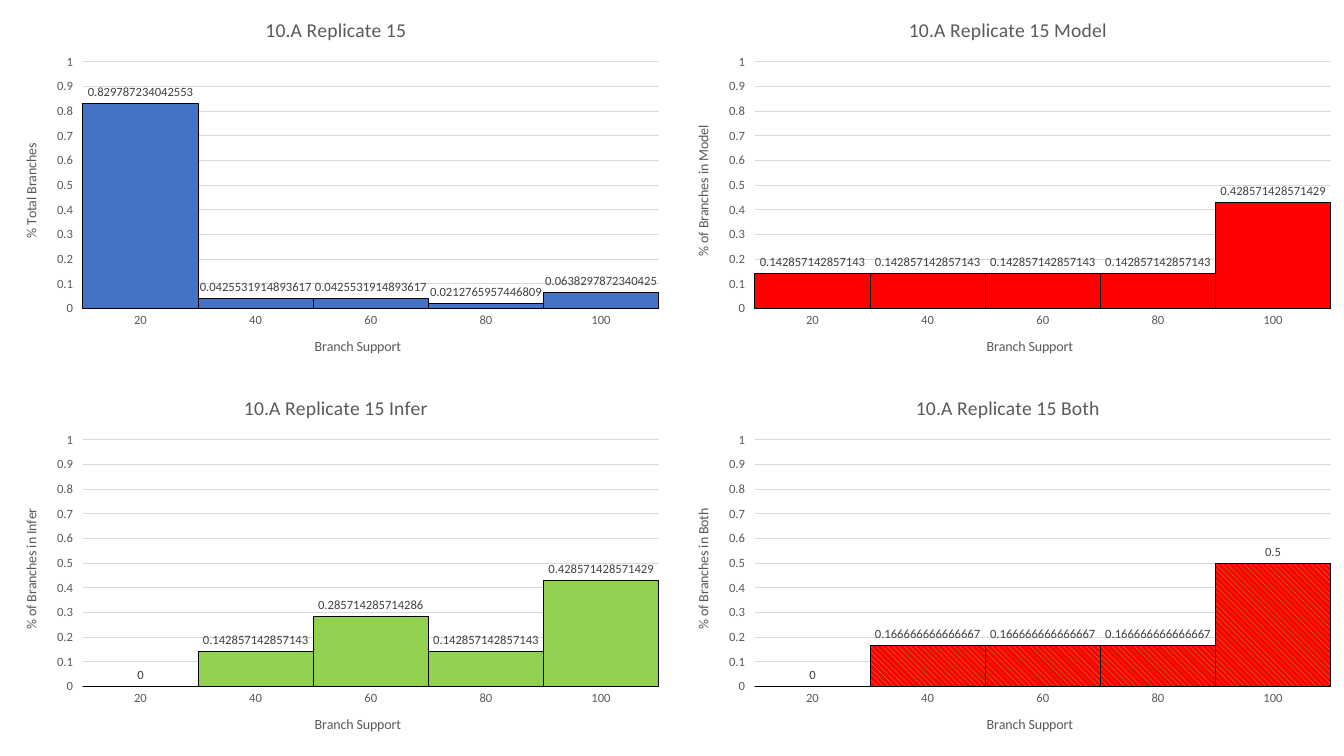
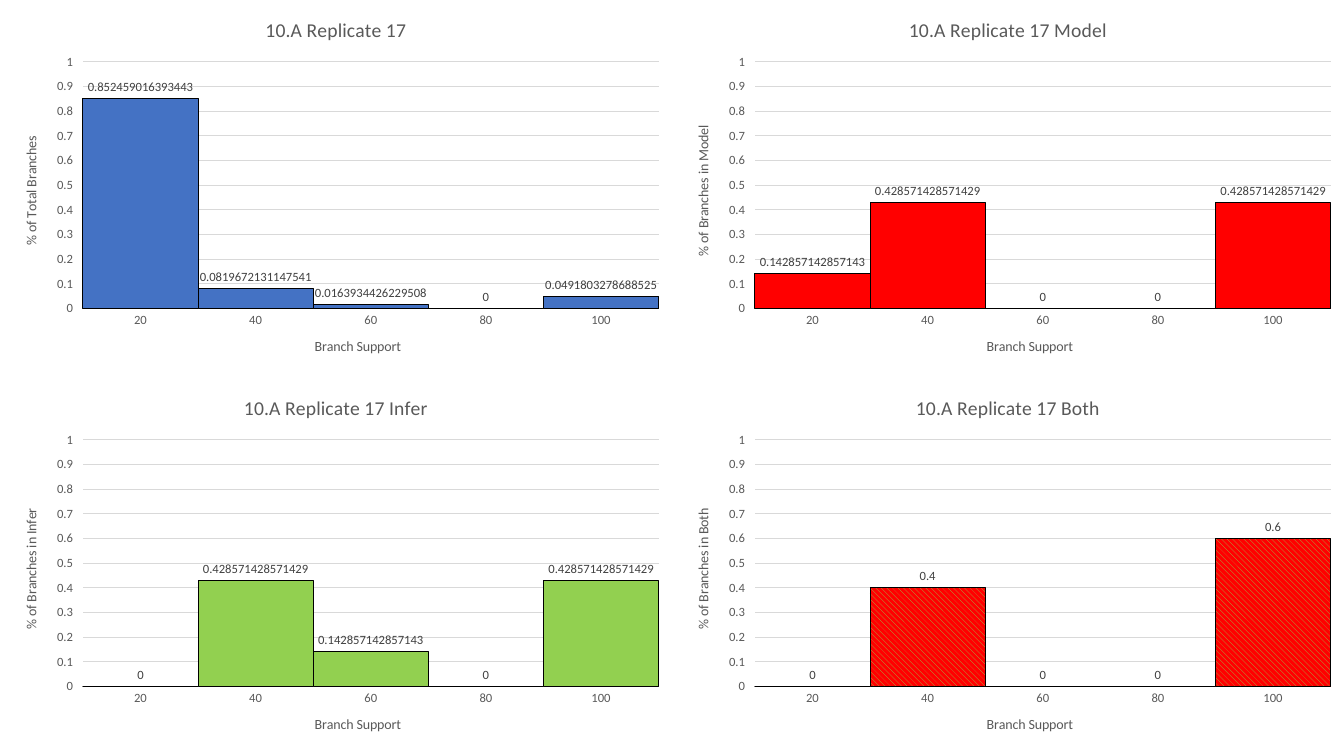
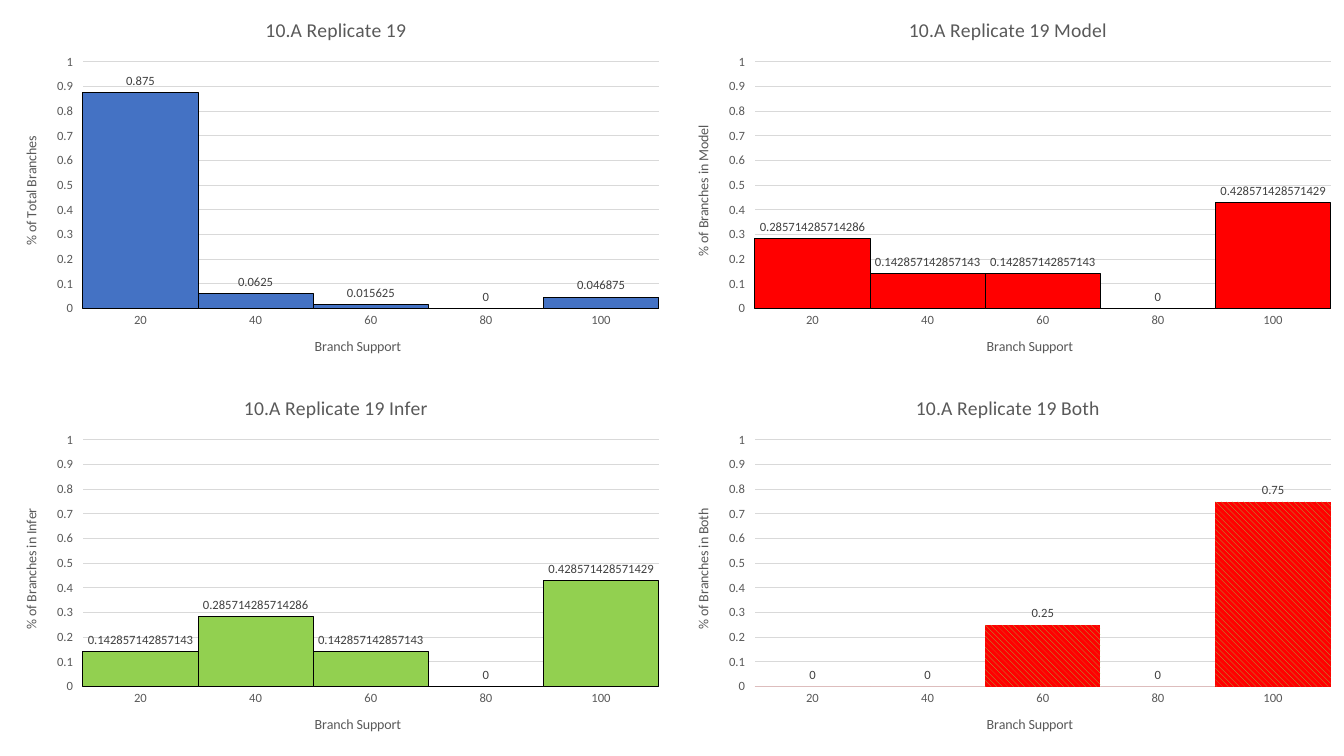
import dataclasses

import lxml.etree
import pptx
import pptx.chart.data
import pptx.dml.color
import pptx.enum.chart
import pptx.enum.dml
import pptx.oxml
import pptx.oxml.ns
import pptx.util

Cm, Pt = pptx.util.Cm, pptx.util.Pt
qn = pptx.oxml.ns.qn


def rgb(code):
    return pptx.dml.color.RGBColor.from_string(code)


@dataclasses.dataclass(frozen=True)
class Theme:
    font: str = "Calibri"
    base: str = "000000"
    text: str = "595959"
    label: str = "404040"
    grid: str = "D9D9D9"
    outline: str = "000000"
    total: str = "4472C4"
    model: str = "FF0000"
    infer: str = "92D050"
    title_size: float = 14
    axis_title_size: float = 10
    tick_size: float = 9
    line_width: float = 0.75


THEME = Theme()
SLIDE_WIDTH, SLIDE_HEIGHT = Cm(33.87), Cm(19.05)
CHART_WIDTH, CHART_HEIGHT = SLIDE_WIDTH // 2, SLIDE_HEIGHT // 2
PLOT_AREA = {
    "x": Cm(2.09) / CHART_WIDTH,
    "y": Cm(1.56) / CHART_HEIGHT,
    "w": Cm(14.51) / CHART_WIDTH,
    "h": Cm(6.22) / CHART_HEIGHT,
}
SUPPORT_BINS = ["20", "40", "60", "80", "100"]
VALUE_DIGITS = 6

# Branches in each support bin
REPLICATES = {
    15: {
        "Total": [39, 2, 2, 1, 3],
        "Model": [1, 1, 1, 1, 3],
        "Infer": [0, 1, 2, 1, 3],
        "Both": [0, 1, 1, 1, 3],
    },
    17: {
        "Total": [52, 5, 1, 0, 3],
        "Model": [1, 3, 0, 0, 3],
        "Infer": [0, 3, 1, 0, 3],
        "Both": [0, 2, 0, 0, 3],
    },
    19: {
        "Total": [56, 4, 1, 0, 3],
        "Model": [2, 1, 1, 0, 3],
        "Infer": [1, 2, 1, 0, 3],
        "Both": [0, 0, 1, 0, 3],
    },
}


def chart_title(number, group):
    base = f"10.A Replicate {number}"
    return base if group == "Total" else f"{base} {group}"


def value_title(number, group):
    if group != "Total":
        return f"% of Branches in {group}"
    return "% Total Branches" if number == 15 else "% of Total Branches"


def set_font(font, size, color):
    font.name = THEME.font
    font.size = Pt(size)
    font.bold = False
    font.color.rgb = rgb(color)


def set_line(line, color):
    line.color.rgb = rgb(color)
    line.width = Pt(THEME.line_width)


def add_run(tf, text, size, color):
    r = tf.paragraphs[0].add_run()
    r.text = text
    set_font(r.font, size, color)


def style_axis(axis, title, tick):
    axis.has_title = True
    add_run(axis.axis_title.text_frame, title, THEME.axis_title_size, THEME.text)
    axis.major_tick_mark = tick
    axis.minor_tick_mark = pptx.enum.chart.XL_TICK_MARK.NONE
    set_font(axis.tick_labels.font, THEME.tick_size, THEME.text)


def fill_bars(fill, group):
    if group == "Both":
        fill.patterned()
        fill.pattern = pptx.enum.dml.MSO_PATTERN.WIDE_DOWNWARD_DIAGONAL
        fill.fore_color.rgb = rgb(THEME.infer)
        fill.back_color.rgb = rgb(THEME.model)
    else:
        fill.solid()
        fill.fore_color.rgb = rgb(getattr(THEME, group.lower()))


def label_bars(series, shares):
    """Show the values, and spell out shares longer than the stored value."""
    position = pptx.enum.chart.XL_LABEL_POSITION.OUTSIDE_END
    labels = series.data_labels
    labels.show_value = True
    labels.position = position
    set_font(labels.font, THEME.tick_size, THEME.label)
    for i, share in enumerate(shares):
        if share == round(share, VALUE_DIGITS):
            continue
        label = series.points[i].data_label
        tf = label.text_frame
        tf.word_wrap = False
        add_run(tf, f"{share:.15g}", THEME.tick_size, THEME.label)
        label.position = position


def place_plot_area(chart):
    """Fix the inner plot area and leave the chart without fill or border."""
    space = chart.element
    plot_area = space.find(f".//{qn('c:plotArea')}")
    for old in plot_area.findall(qn("c:layout")):
        plot_area.remove(old)
    layout = lxml.etree.Element(qn("c:layout"))
    manual = lxml.etree.SubElement(layout, qn("c:manualLayout"))
    settings = {"layoutTarget": "inner", "xMode": "edge", "yMode": "edge", **PLOT_AREA}
    for tag, val in settings.items():
        lxml.etree.SubElement(manual, qn(f"c:{tag}")).set("val", str(val))
    plot_area.insert(0, layout)

    sp_pr = lxml.etree.Element(qn("c:spPr"))
    lxml.etree.SubElement(sp_pr, qn("a:noFill"))
    line = lxml.etree.SubElement(sp_pr, qn("a:ln"))
    lxml.etree.SubElement(line, qn("a:noFill"))
    space.find(qn("c:chart")).addnext(sp_pr)


def add_histogram(slide, left, top, number, group, counts, outlined):
    shares = [n / sum(counts) for n in counts]
    data = pptx.chart.data.CategoryChartData()
    data.categories = SUPPORT_BINS
    data.add_series("Series 1", [round(share, VALUE_DIGITS) for share in shares])
    kind = pptx.enum.chart.XL_CHART_TYPE.COLUMN_CLUSTERED
    chart = slide.shapes.add_chart(
        kind, left, top, CHART_WIDTH, CHART_HEIGHT, data
    ).chart
    set_font(chart.font, THEME.axis_title_size, THEME.base)
    chart.has_legend = False
    chart.has_title = True
    title = chart.chart_title
    title.include_in_layout = False
    add_run(title.text_frame, chart_title(number, group), THEME.title_size, THEME.text)

    ticks = pptx.enum.chart.XL_TICK_MARK
    style_axis(chart.category_axis, "Branch Support", ticks.NONE)
    set_line(chart.category_axis.format.line, THEME.grid)
    axis = chart.value_axis
    style_axis(axis, value_title(number, group), ticks.OUTSIDE)
    axis.format.line.fill.background()
    axis.minimum_scale, axis.maximum_scale, axis.major_unit = 0, 1, 0.1
    axis.has_major_gridlines = True
    set_line(axis.major_gridlines.format.line, THEME.grid)

    plot = chart.plots[0]
    plot.vary_by_categories = False
    plot.gap_width = 0
    series = plot.series[0]
    series.invert_if_negative = False
    fill_bars(series.format.fill, group)
    if outlined:
        set_line(series.format.line, THEME.outline)
    else:
        series.format.line.fill.background()
    label_bars(series, shares)
    place_plot_area(chart)


def add_replicate_slide(prs, number, groups):
    """Fill one slide with a two by two grid of histograms."""
    slide = prs.slides.add_slide(prs.slide_layouts[6])
    for i, (group, counts) in enumerate(groups.items()):
        row, col = divmod(i, 2)
        left, top = col * CHART_WIDTH, row * CHART_HEIGHT
        outlined = (number, group) != (19, "Both")
        add_histogram(slide, left, top, number, group, counts, outlined)


def main():
    prs = pptx.Presentation()
    prs.slide_width, prs.slide_height = SLIDE_WIDTH, SLIDE_HEIGHT
    for number, groups in REPLICATES.items():
        add_replicate_slide(prs, number, groups)
    prs.save("out.pptx")


if __name__ == "__main__":
    main()
